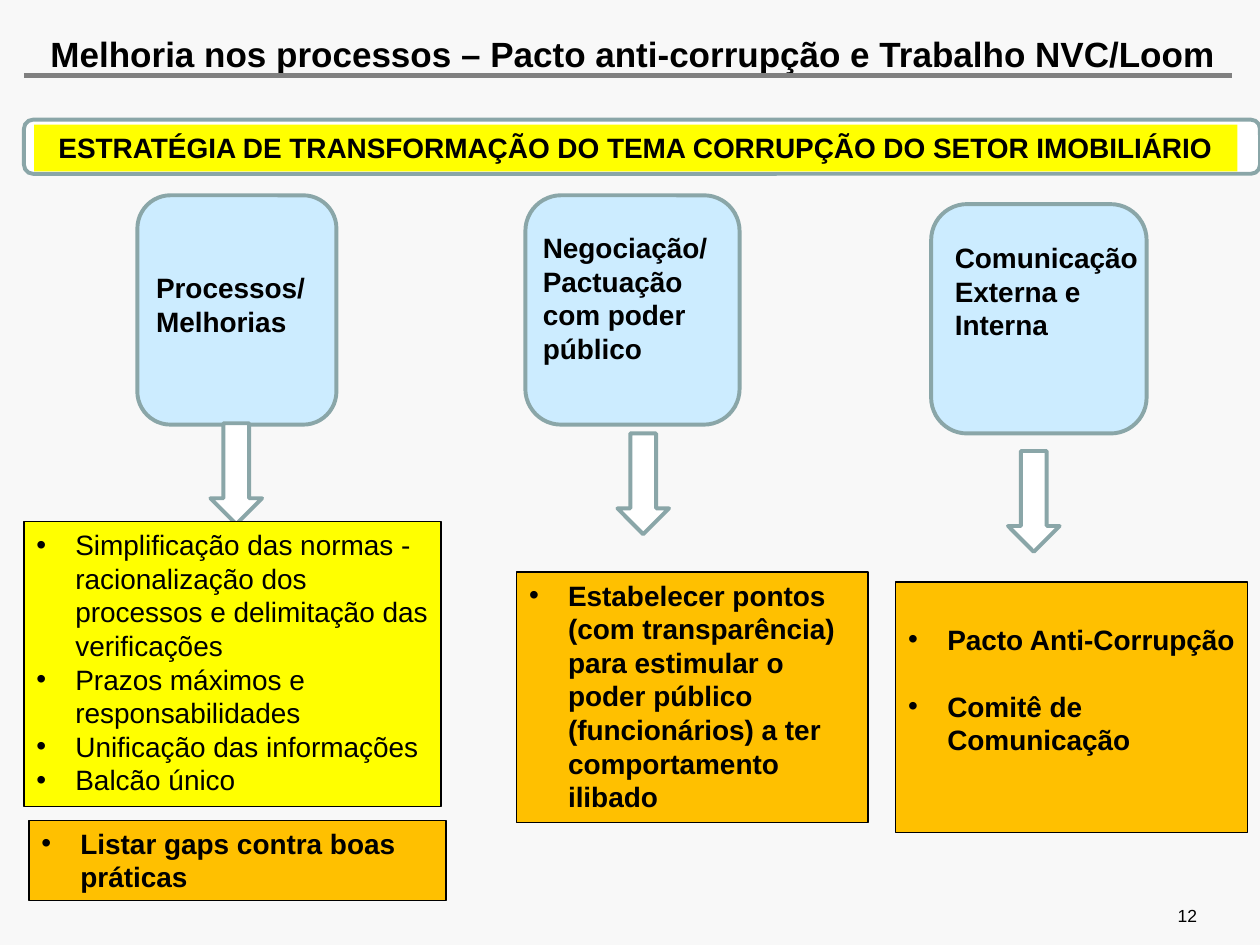
from lxml import etree
from pptx import Presentation
from pptx.dml.color import RGBColor
from pptx.enum.shapes import MSO_CONNECTOR, MSO_SHAPE
from pptx.enum.text import MSO_ANCHOR, PP_ALIGN
from pptx.oxml.ns import qn
from pptx.util import Pt

SCALE = 9144  # EMU in a px, 100 px to the inch
BLACK, WHITE, YELLOW, ORANGE = "000000", "FFFFFF", "FFFF00", "FFC000"
SKY, STEEL, GRAY = "CCECFF", "8AA6A8", "808080"


def px(*sizes):
    return [size * SCALE for size in sizes]


def color(code):
    return RGBColor.from_string(code)


class Board:
    """Holds the text style and the current slide."""

    font = "Arial"
    size = 16
    indent = 31

    def __init__(self, slide):
        self.slide = slide
        fill = slide.background.fill
        fill.solid()
        fill.fore_color.rgb = color("F8F8F8")

    def style(self, para, size, bold, align):
        para.alignment = align
        for run in para.runs:
            font = run.font
            font.name, font.size, font.bold = self.font, Pt(size), bold
            font.color.rgb = color(BLACK)

    def put(self, shape, text, size=size, bold=True, align=PP_ALIGN.LEFT,
            anchor=MSO_ANCHOR.TOP, inset=True):
        """Set and format the text of a shape."""
        frame = shape.text_frame
        frame.word_wrap = True
        frame.vertical_anchor = anchor
        if not inset:
            frame.margin_left = frame.margin_right = 0
            frame.margin_top = frame.margin_bottom = 0
        frame.text = text
        for para in frame.paragraphs:
            self.style(para, size, bold, align)

    def title(self, text, box):
        shape = self.slide.shapes.title
        shape.left, shape.top, shape.width, shape.height = px(*box)
        self.put(shape, text, 20, align=PP_ALIGN.CENTER,
                 anchor=MSO_ANCHOR.MIDDLE, inset=False)

    def rule(self, left, right, top):
        line = self.slide.shapes.add_connector(
            MSO_CONNECTOR.STRAIGHT, *px(left, top, right, top))
        line.line.color.rgb = color(GRAY)
        line.line.width = Pt(3.2)
        etree.SubElement(line._element.spPr, qn("a:effectLst"))

    def shape(self, kind, box, fill, line=None, width=2.25):
        shape = self.slide.shapes.add_shape(kind, *px(*box))
        shape.shadow.inherit = False
        shape.fill.solid()
        shape.fill.fore_color.rgb = color(fill)
        if line:
            shape.line.color.rgb = color(line)
            shape.line.width = Pt(width)
        else:
            shape.line.fill.background()
        return shape

    def label(self, text, box, **look):
        self.put(self.slide.shapes.add_textbox(*px(*box)), text, **look)

    def bullets(self, items, box, fill, bold=True, top=5, gap=0):
        """Draw a framed list; top is the upper inset, gap the points between items."""
        shape = self.shape(MSO_SHAPE.RECTANGLE, box, fill, BLACK, 0.75)
        self.put(shape, "\n".join(items), bold=bold)
        frame = shape.text_frame
        frame.margin_top = top * SCALE
        for place, para in enumerate(frame.paragraphs):
            if place and gap:
                para.space_before = Pt(gap)
            props = para._p.get_or_add_pPr()
            props.set("marL", str(self.indent * SCALE))
            props.set("indent", str(-self.indent * SCALE))
            etree.SubElement(props, qn("a:buFont"), typeface=self.font)
            etree.SubElement(props, qn("a:buChar"), char="•")


def main():
    deck = Presentation()
    deck.slide_width, deck.slide_height = px(1000, 750)
    board = Board(deck.slides.add_slide(deck.slide_layouts[5]))

    board.rule(19, 978, 60)
    board.title("Melhoria nos processos – Pacto anti-corrupção e Trabalho NVC/Loom",
                (27, 25, 951, 35))

    board.shape(MSO_SHAPE.ROUNDED_RECTANGLE, (19, 95, 981, 43), WHITE, STEEL)
    banner = board.shape(MSO_SHAPE.RECTANGLE, (27, 99, 955, 37), YELLOW)
    board.put(banner, "ESTRATÉGIA DE TRANSFORMAÇÃO DO TEMA CORRUPÇÃO DO SETOR IMOBILIÁRIO",
              align=PP_ALIGN.CENTER)

    pillars = [
        ("Processos/ Melhorias", (109, 155, 158, 182), (114, 210, 162, 64)),
        ("Negociação/ Pactuação com poder público",
         (417, 155, 170, 182), (421, 178, 157, 118)),
        ("Comunicação Externa e Interna",
         (739, 162, 171, 182), (748, 186, 167, 91)),
    ]
    for text, card, box in pillars:
        board.shape(MSO_SHAPE.ROUNDED_RECTANGLE, card, SKY, STEEL)
        board.label(text, box)

    for left, top in [(167, 336), (490, 344), (800, 358)]:
        board.shape(MSO_SHAPE.DOWN_ARROW, (left, top, 41, 80), WHITE, STEEL)

    board.bullets(
        ["Simplificação das normas - racionalização dos processos e delimitação das verificações",
         "Prazos máximos e responsabilidades",
         "Unificação das informações",
         "Balcão único"],
        (19, 414, 331, 226), YELLOW, bold=False)
    board.bullets(
        ["Estabelecer pontos (com transparência) para estimular o poder público "
         "(funcionários) a ter comportamento ilibado"],
        (410, 454, 279, 199), ORANGE)
    board.bullets(["Pacto Anti-Corrupção", "Comitê de Comunicação"],
                  (711, 462, 279, 199), ORANGE, top=32, gap=19)
    board.bullets(["Listar gaps contra boas práticas"], (23, 651, 331, 64), ORANGE)

    board.label("12", (716, 718, 234, 17), size=10, bold=False,
                align=PP_ALIGN.RIGHT, anchor=MSO_ANCHOR.BOTTOM, inset=False)

    deck.save("out.pptx")


if __name__ == "__main__":
    main()
